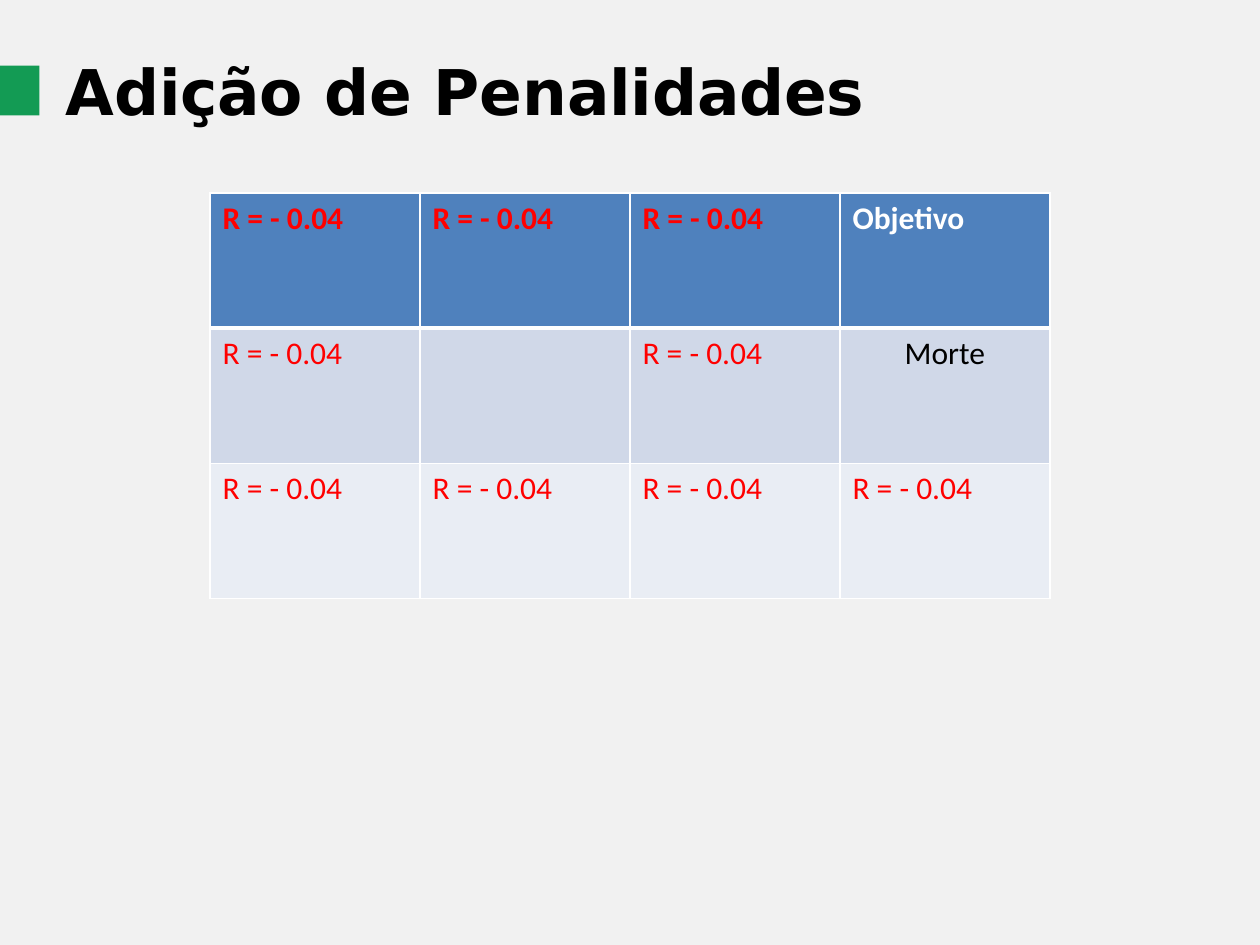
from dataclasses import dataclass

from lxml import etree
from pptx import Presentation
from pptx import util as u
from pptx.dml.color import RGBColor
from pptx.enum import shapes, text
from pptx.oxml import ns

COLOURS = {
    "background": "F1F1F1",
    "accent": "139B54",
    "header": "4F81BD",
    "odd_row": "D0D8E8",
    "even_row": "E9EDF4",
    "penalty": "FF0000",
    "black": "000000",
    "white": "FFFFFF",
}
COLUMN_WIDTH = 120
ROW_HEIGHT = 77.25


@dataclass(frozen=True)
class State:
    label: str = "R = - 0.04"
    colour: str = "penalty"
    align: text.PP_ALIGN = text.PP_ALIGN.LEFT


@dataclass(frozen=True)
class GridRow:
    fill: str
    states: tuple[State, ...]
    bold: bool = False
    top: float = 1
    bottom: float = 1


PENALTY = State()
GRID = (
    GridRow("header", (PENALTY, PENALTY, PENALTY, State("Objetivo", "white")), bold=True, bottom=3),
    GridRow("odd_row", (PENALTY, State(""), PENALTY,
                        State("Morte", "black", text.PP_ALIGN.CENTER)), top=3),
    GridRow("even_row", (PENALTY,) * 4),
)


def rgb(name: str) -> RGBColor:
    return RGBColor.from_string(COLOURS[name])


def apply_format(target, values: dict) -> None:
    for name, value in values.items():
        setattr(target, name, value)


def paint(fill, colour: str) -> None:
    fill.solid()
    fill.fore_color.rgb = rgb(colour)


def write(paragraph, label: str, font: str, size: float, bold: bool, colour: str):
    run = paragraph.add_run()
    run.text = label
    apply_format(run.font, {"name": font, "size": u.Pt(size), "bold": bold})
    run.font.color.rgb = rgb(colour)
    return run


def add_borders(cell, widths: dict[str, float]) -> None:
    properties = cell._tc.get_or_add_tcPr()
    for position, (side, width) in enumerate(widths.items()):
        line = etree.Element(ns.qn(f"a:ln{side}"), w=str(u.Pt(width)))
        fill = etree.SubElement(line, ns.qn("a:solidFill"))
        etree.SubElement(fill, ns.qn("a:srgbClr"), val=COLOURS["white"])
        properties.insert(position, line)


def add_title(slide) -> None:
    title = slide.shapes.title
    apply_format(title, {"left": u.Pt(37.5), "top": u.Pt(29), "width": u.Pt(592.5), "height": u.Pt(44.5)})
    apply_format(title.text_frame, {
        "margin_left": 0, "margin_top": u.Pt(1), "margin_right": 0, "margin_bottom": 0,
        "vertical_anchor": text.MSO_ANCHOR.TOP,
        "auto_size": text.MSO_AUTO_SIZE.SHAPE_TO_FIT_TEXT,
    })
    paragraph = title.text_frame.paragraphs[0]
    apply_format(paragraph, {"alignment": text.PP_ALIGN.LEFT, "space_before": u.Pt(1.1)})
    run = write(paragraph, "Adição de Penalidades", "DejaVu Sans", 36, True, "black")
    run.font._element.set("spc", "-10")


def add_marker(slide) -> None:
    marker = slide.shapes.add_shape(
        shapes.MSO_SHAPE.RECTANGLE, 0, u.Pt(37.5), u.Pt(22.5), u.Pt(28.5))
    marker.shadow.inherit = False
    paint(marker.fill, "accent")
    marker.line.fill.background()


def add_grid(slide) -> None:
    columns = len(GRID[0].states)
    table = slide.shapes.add_table(
        len(GRID), columns, u.Pt(120), u.Pt(110.25),
        u.Pt(columns * COLUMN_WIDTH), u.Pt(len(GRID) * ROW_HEIGHT)).table
    for column in table.columns:
        column.width = u.Pt(COLUMN_WIDTH)
    for row, grid_row in zip(table.rows, GRID):
        row.height = u.Pt(ROW_HEIGHT)
        for cell, state in zip(row.cells, grid_row.states):
            paint(cell.fill, grid_row.fill)
            add_borders(cell, {"L": 1, "R": 1, "T": grid_row.top, "B": grid_row.bottom})
            if state.label:
                paragraph = cell.text_frame.paragraphs[0]
                paragraph.alignment = state.align
                write(paragraph, state.label, "Calibri", 18, grid_row.bold, state.colour)


presentation = Presentation()
apply_format(presentation, {"slide_width": u.Pt(720), "slide_height": u.Pt(540)})
slide = presentation.slides.add_slide(presentation.slide_layouts[5])
paint(slide.background.fill, "background")
add_title(slide)
add_marker(slide)
add_grid(slide)
presentation.save("out.pptx")
